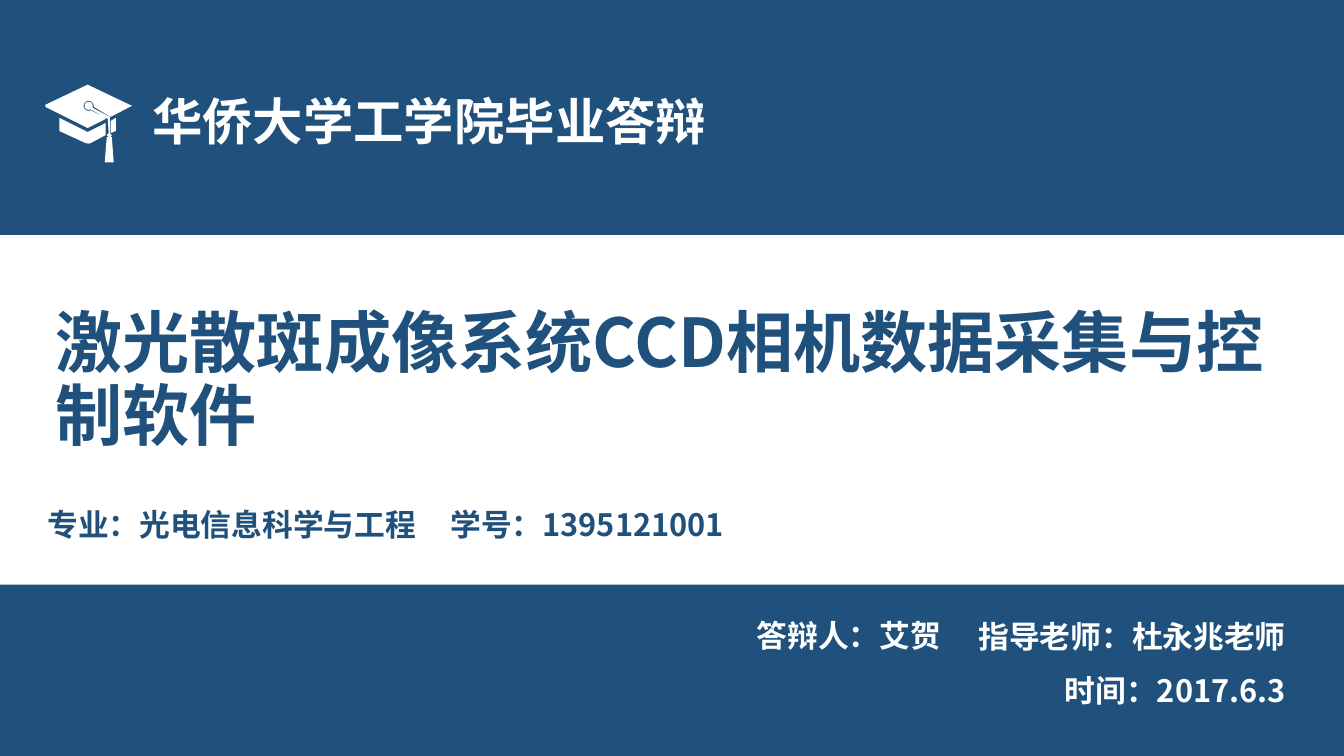
"""Build the cover slide of a graduation thesis defence."""
from dataclasses import dataclass
from math import cos, radians, sin

from lxml import etree
from pptx import Presentation
from pptx.dml.color import RGBColor
from pptx.enum.shapes import MSO_SHAPE
from pptx.enum.text import MSO_AUTO_SIZE, PP_ALIGN
from pptx.oxml.ns import qn
from pptx.util import Inches, Pt

NAVY = RGBColor(0x20, 0x51, 0x7C)
WHITE = RGBColor(0xFF, 0xFF, 0xFF)
FONT = "Noto Sans CJK SC"
LEFT, CENTER, RIGHT = PP_ALIGN.LEFT, PP_ALIGN.CENTER, PP_ALIGN.RIGHT
RECTANGLE = MSO_SHAPE.RECTANGLE
NO_AUTOFIT = MSO_AUTO_SIZE.NONE

CELL = Inches(0.1)
COLS, ROWS = 133.4, 75
FINE = 100

Point = tuple[float, float]


@dataclass(frozen=True)
class Box:
    """A rectangle in grid columns and rows."""
    col: float
    row: float
    cols: float
    rows: float

    def emu(self) -> tuple[int, ...]:
        """Return left, top, width and height in EMU."""
        return tuple(round(n * CELL) for n in (self.col, self.row, self.cols, self.rows))


@dataclass(frozen=True)
class Label:
    """One line of cover text and its format."""
    text: str
    box: Box
    color: RGBColor = WHITE
    size: int = 22
    align: PP_ALIGN = RIGHT
    line: float = 0.9
    before: int = 10
    tab: float = 0


BANDS = [Box(0, 0, COLS, 23.3), Box(0, 58, COLS, 17)]

TITLE = Label("激光散斑成像系统CCD相机数据采集与控制软件",
              Box(4.5, 27.3, 123.6, 21.3), NAVY, 48, LEFT)
STUDENT = Label("专业：光电信息科学与工程\t学号：1395121001",
                Box(3.7, 50.1, 82.7, 5.5), NAVY, align=LEFT, tab=39.3)
LABELS = [
    Label("答辩人：艾贺", Box(73.8, 61.1, 20.6, 5.5)),
    Label("指导老师：杜永兆老师", Box(94.2, 61.2, 34.4, 5.5)),
    Label("华侨大学工学院毕业答辩", Box(13.1, 8.4, 59, 7),
          size=36, align=CENTER, line=1, before=0),
    Label("时间：2017.6.3", Box(101.3, 66.6, 27.3, 5.5)),
]


def arc(radius: float, start: int, end: int) -> list[Point]:
    """Return points along the cap button's rim, angles in degrees."""
    step = 10 if end > start else -10
    return [(8.8 + radius * cos(radians(a)), 10.5 + radius * sin(radians(a)))
            for a in range(start, end + step, step)]


CAP = [
    [(11, 13.2), (11.5, 13), (11.5, 11.7), (11, 12)],
    [(5.9, 11.7), (5.9, 13), (8.5, 14.2), (8.8, 14.25), (9, 14.2),
     (10.5, 13.4), (10.5, 12.2), (8.7, 13.1)],
    [(10.9, 11.6), (9.2, 10.7), *arc(0.4, 360, 60), (10.7, 11.8)],
    [(13.1, 10.5), (8.7, 8.4), (4.5, 10.4), (4.5, 10.6), (8.7, 12.7),
     (10.5, 11.8), (10.5, 11.7), (9.1, 11), *arc(0.5, 60, 370), (11, 11.6)],
    [(10.9, 11.6), (10.9, 13.2), (11.1, 13.4), (11, 13.6), (11.1, 13.6),
     (11.3, 16.1), (10.4, 16.1), (10.6, 13.6), (10.8, 13.6), (10.6, 13.4),
     (10.8, 13.2), (10.7, 11.8)],
]


def paint(s, color: RGBColor) -> None:
    """Give a shape a plain fill without line or shadow."""
    s.shadow.inherit = False
    s.fill.solid()
    s.fill.fore_color.rgb = color
    s.line.fill.background()


def write(s, label: Label) -> None:
    """Place a text shape and format its single paragraph."""
    s.left, s.top, s.width, s.height = label.box.emu()
    tf = s.text_frame
    tf.text = label.text
    tf.word_wrap = True
    tf.auto_size = NO_AUTOFIT
    p = tf.paragraphs[0]
    p.alignment = label.align
    p.line_spacing = label.line
    p.space_before = Pt(label.before)
    if label.tab:
        tabs = etree.SubElement(p._p.get_or_add_pPr(), qn("a:tabLst"))
        etree.SubElement(tabs, qn("a:tab"), pos=str(round(label.tab * CELL)), algn="l")
    for r in p.runs:
        r.font.name = FONT
        r.font.size = Pt(label.size)
        r.font.bold = True
        r.font.color.rgb = label.color
        etree.SubElement(r._r.get_or_add_rPr(), qn("a:ea"), typeface=FONT)


def draw_cap(shapes) -> None:
    """Draw the graduation cap as one outline of several contours."""
    contours = [[(x * FINE, y * FINE) for x, y in points] for points in CAP]
    builder = shapes.build_freeform(*contours[0][0], scale=CELL / FINE)
    for i, (first, *rest) in enumerate(contours):
        if i:
            builder.move_to(*first)
        builder.add_line_segments(rest, close=True)
    paint(builder.convert_to_shape(), WHITE)


def main() -> None:
    """Build and save the slide."""
    prs = Presentation()
    prs.slide_width, prs.slide_height = round(COLS * CELL), ROWS * CELL
    slide = prs.slides.add_slide(prs.slide_layouts[0])
    shapes = slide.shapes
    for band in BANDS:
        paint(shapes.add_shape(RECTANGLE, *band.emu()), NAVY)
    write(shapes.title, TITLE)
    write(slide.placeholders[1], STUDENT)
    for label in LABELS:
        write(shapes.add_textbox(*label.box.emu()), label)
    draw_cap(shapes)
    prs.save("out.pptx")


if __name__ == "__main__":
    main()
